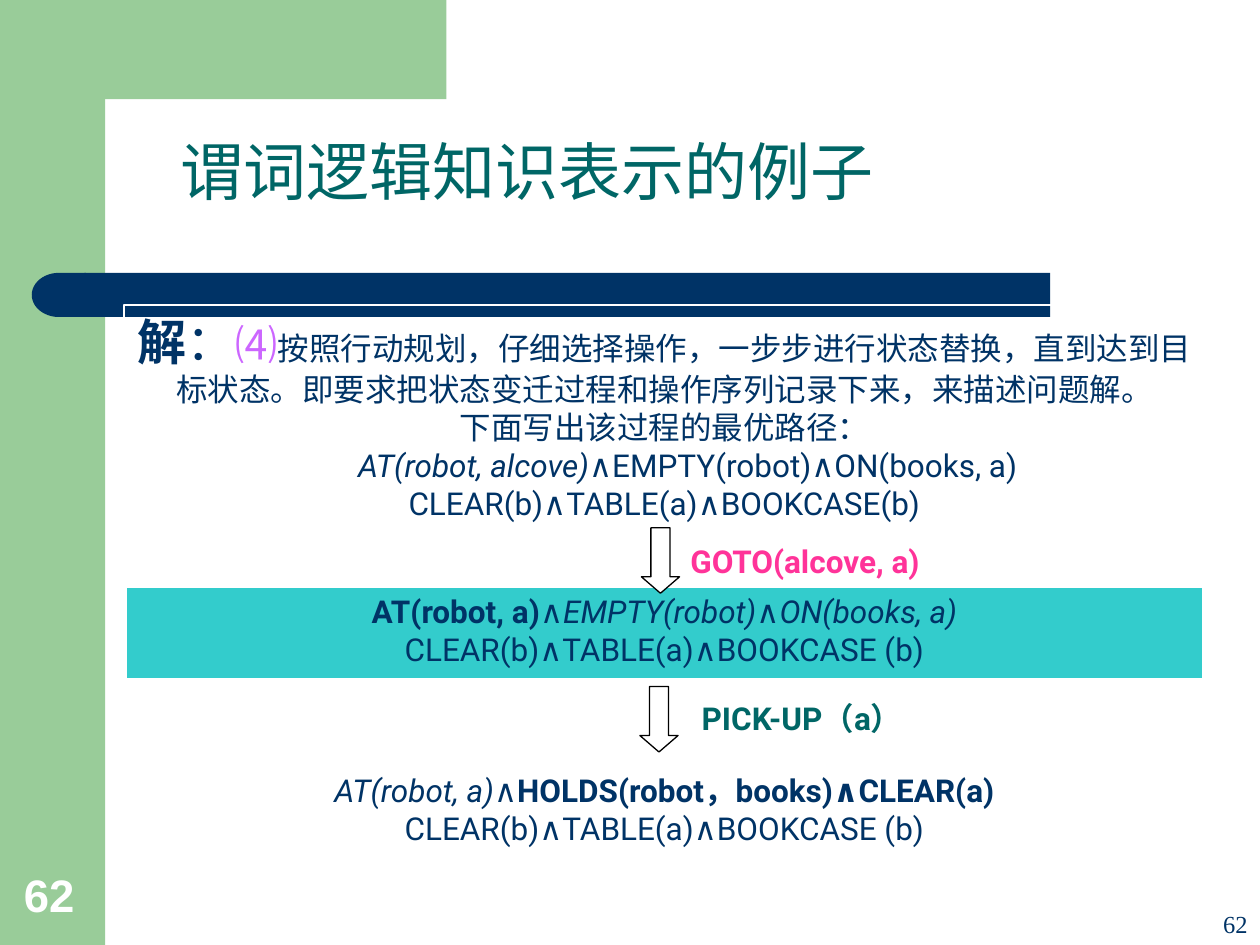
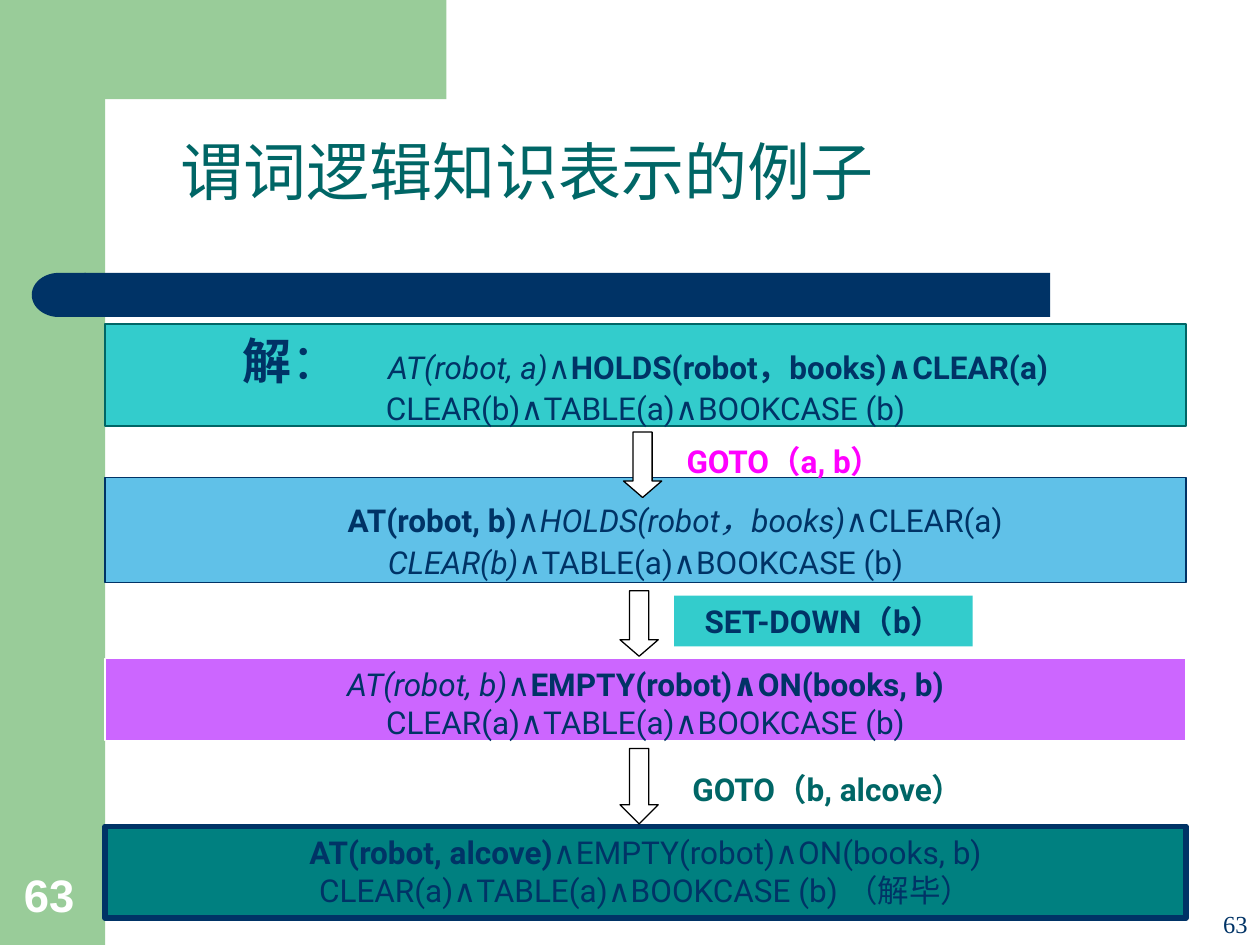
from math import cos, pi, sin

from pptx import Presentation
from pptx.dml.color import RGBColor
from pptx.enum.lang import MSO_LANGUAGE_ID
from pptx.enum.shapes import MSO_SHAPE
from pptx.enum.text import MSO_ANCHOR, MSO_AUTO_SIZE, PP_ALIGN
from pptx.util import Cm, Pt

NAVY = RGBColor(0x00, 0x33, 0x66)
GREEN = RGBColor(0x99, 0xCC, 0x99)
PINE = RGBColor(0x00, 0x66, 0x66)
TEAL = RGBColor(0x00, 0x80, 0x80)
TURQUOISE = RGBColor(0x33, 0xCC, 0xCC)
SKY = RGBColor(0x60, 0xC1, 0xE8)
VIOLET = RGBColor(0xCC, 0x66, 0xFF)
PINK = RGBColor(0xFF, 0x33, 0x99)
MAGENTA = RGBColor(0xFF, 0x00, 0xFF)
WHITE = RGBColor(0xFF, 0xFF, 0xFF)
BLACK = RGBColor(0x00, 0x00, 0x00)

BOLD = {"bold": True}
ITALIC = {"italic": True}
HEADING = {"size": 28, "font": "Times New Roman"}
TITLE = "谓词逻辑知识表示的例子"
FIRST_NUMBER = 62
STATE_WIDTH = 21.79
INSET = 0.13


def write(paragraph, text, size=18, font="Roboto", color=NAVY,
          bold=False, italic=False, spacing=0):
    """Add one run; spacing is the extra room after each letter, in points."""
    run = paragraph.add_run()
    run.text = text
    run.font.size = Pt(size)
    run.font.name = font
    run.font.color.rgb = color
    run.font.bold = bold
    run.font.italic = italic
    run.font.language_id = MSO_LANGUAGE_ID.SIMPLIFIED_CHINESE
    if spacing:
        run.font._element.set("spc", str(spacing * 100))


def paint(shape, fill=None, line=None, weight=0.75):
    shape.shadow.inherit = False
    if fill is None:
        shape.fill.background()
    else:
        shape.fill.solid()
        shape.fill.fore_color.rgb = fill
    if line is None:
        shape.line.fill.background()
    else:
        shape.line.color.rgb = line
        shape.line.width = Pt(weight)


# Each state: top, height, fill, line, line weight, extra room on top,
# and paragraphs of (left indent, runs).
# Each arrow: left, top, height, head length as a share of the width.
# Each operator: left, top, width, text, colour, fill.
slides = [
    {
        "left": 2.5,
        "states": [
            (6.15, 4.39, None, WHITE, 0.75, 0, [
                (0, [("解", HEADING | BOLD), ("：", HEADING),
                     ("⑷", {"size": 24, "color": VIOLET}),
                     ("按照行动规划，仔细选择操作，一步步进行状态替换，直到达到目标状态。"
                      "即要求把状态变迁过程和操作序列记录下来，来描述问题解。", {})]),
                (0, [("下面写出该过程的最优路径：", {})]),
                (0.94, [("AT(robot, alcove)", ITALIC),
                        ("∧EMPTY(robot)∧ON(books, a)", {})]),
                (0, [("CLEAR(b)∧TABLE(a)∧BOOKCASE(b)", {})]),
            ]),
            (11.81, 1.91, TURQUOISE, WHITE, 3, 0, [
                (0, [("AT(robot, a)", BOLD), ("∧", {}),
                     ("EMPTY(robot)", ITALIC), ("∧", {}),
                     ("ON(books, a)", ITALIC)]),
                (0, [("CLEAR(b)∧TABLE(a)∧BOOKCASE (b)", {})]),
            ]),
            (15.42, 2.11, None, WHITE, 0.75, 0, [
                (0, [("AT(robot, a)", ITALIC), ("∧", {}),
                     ("HOLDS(robot，books)∧CLEAR(a)", BOLD)]),
                (0, [("CLEAR(b)∧TABLE(a)∧BOOKCASE (b)", {})]),
            ]),
        ],
        "arrows": [(12.93, 10.64, 1.32, 0.43), (12.9, 13.84, 1.32, 0.43)],
        "operators": [
            (13.46, 10.8, 5.54, "GOTO(alcove, a)", PINK, None),
            (13.59, 13.97, 5.16, "PICK-UP（a）", PINE, None),
        ],
    },
    {
        "left": 2.12,
        "states": [
            (6.53, 2.06, TURQUOISE, PINE, 0.75, 0, [
                (0, [("解", HEADING | BOLD), ("：", HEADING | {"spacing": 27}),
                     ("AT(robot, a)", ITALIC), ("∧", {}),
                     ("HOLDS(robot，books)∧CLEAR(a)", BOLD)]),
                (0, [("CLEAR(b)∧TABLE(a)∧BOOKCASE (b)", {})]),
            ]),
            (9.63, 2.11, SKY, NAVY, 0.75, 0.35, [
                (1.19, [("AT(robot, b)", BOLD), ("∧", {}),
                        ("HOLDS(robot，books)", ITALIC), ("∧CLEAR(a)", {})]),
                (0, [("CLEAR(b)", ITALIC), ("∧TABLE(a)∧BOOKCASE (b)", {})]),
            ]),
            (13.28, 1.65, VIOLET, WHITE, 0.75, 0, [
                (0, [("AT(robot, b)", ITALIC), ("∧", {}),
                     ("EMPTY(robot)∧ON(books, b)", BOLD)]),
                (0, [("CLEAR(a)∧TABLE(a)∧BOOKCASE (b)", {})]),
            ]),
            (16.66, 1.85, TEAL, NAVY, 3, 0, [
                (0, [("AT(robot, alcove)", BOLD),
                     ("∧EMPTY(robot)∧ON(books, b)", {})]),
                (0, [("CLEAR(a)∧TABLE(a)∧BOOKCASE (b) （解毕）", {})]),
            ]),
        ],
        "arrows": [(12.57, 8.71, 1.32, 0.43), (12.5, 11.91, 1.32, 0.43),
                   (12.5, 15.09, 1.52, 0.5)],
        "operators": [
            (13.21, 8.79, 5.21, "GOTO（a, b）", MAGENTA, None),
            (13.59, 12.01, 6.02, "SET-DOWN（b）", NAVY, TURQUOISE),
            (13.26, 15.39, 6.86, "GOTO（b, alcove）", PINE, None),
        ],
    },
]

# Page numbers: left, top, width, height, alignment, format
page_numbers = [
    (24.13, 17.78, 1.27, 1.27, PP_ALIGN.RIGHT,
     {"size": 14, "font": "Times New Roman"}),
    (0.23, 17.35, 1.63, 1.35, PP_ALIGN.LEFT,
     {"size": 26, "font": "Arial", "color": WHITE, "bold": True}),
]

prs = Presentation()
prs.slide_width, prs.slide_height = Cm(25.4), Cm(19.05)
layout = prs.slide_layouts[5]

layout_title = layout.placeholders[0]
layout_title.left, layout_title.top = Cm(3.38), Cm(2.54)
layout_title.width, layout_title.height = Cm(18.62), Cm(1.78)

for number, content in enumerate(slides, FIRST_NUMBER):
    slide = prs.slides.add_slide(layout)
    shapes = slide.shapes

    # The decoration is drawn once and handed to the shared layout.
    if number == FIRST_NUMBER:
        side_band = shapes.add_shape(
            MSO_SHAPE.RECTANGLE, 0, 0, Cm(2.12), Cm(19.05))
        angles = [pi / 2 * step / 12 for step in range(13)]
        corner = [(2.91 - 0.79 * sin(a), 2.97 - 0.85 * cos(a)) for a in angles]
        outline = shapes.build_freeform(8.89, 0, scale=Cm(1))
        outline.add_line_segments(
            [(8.89, 2.12), *corner, (2.12, 3.25), (1.27, 3.25), (1.27, 0)])
        top_band = outline.convert_to_shape()
        title_bar = shapes.add_shape(
            MSO_SHAPE.RECTANGLE, Cm(1.7), Cm(5.5), Cm(19.47), Cm(0.89))
        bar_end = shapes.add_shape(
            MSO_SHAPE.FLOWCHART_DELAY, Cm(0.64), Cm(5.5), Cm(1.09), Cm(0.89))
        bar_end.rotation = 180
        for part, color in ((side_band, GREEN), (top_band, GREEN),
                            (title_bar, NAVY), (bar_end, NAVY)):
            paint(part, color)
            layout.shapes.element.append(part.element)

    title = shapes.title.text_frame
    title.vertical_anchor = MSO_ANCHOR.TOP
    title.auto_size = MSO_AUTO_SIZE.NONE
    title.paragraphs[0].alignment = PP_ALIGN.LEFT
    write(title.paragraphs[0], TITLE, size=36, font="Arial", color=PINE)

    for top, height, fill, line, weight, lead, paragraphs in content["states"]:
        state = shapes.add_shape(
            MSO_SHAPE.RECTANGLE, Cm(content["left"]), Cm(top),
            Cm(STATE_WIDTH), Cm(height))
        paint(state, fill, line, weight)
        frame = state.text_frame
        frame.word_wrap = True
        frame.vertical_anchor = MSO_ANCHOR.TOP
        frame.margin_top = Cm(INSET + lead)
        for index, (indent, runs) in enumerate(paragraphs):
            paragraph = frame.add_paragraph() if index else frame.paragraphs[0]
            paragraph.alignment = PP_ALIGN.CENTER
            if indent:
                paragraph._p.get_or_add_pPr().set("marL", str(Cm(indent)))
            if lead and index == 0:
                paragraph.space_after = Pt(2)
            for text, style in runs:
                write(paragraph, text, **style)

    for left, top, height, head in content["arrows"]:
        arrow = shapes.add_shape(
            MSO_SHAPE.DOWN_ARROW, Cm(left), Cm(top), Cm(0.77), Cm(height))
        arrow.adjustments[1] = head
        paint(arrow, WHITE, BLACK)

    for left, top, width, text, color, fill in content["operators"]:
        operator = shapes.add_textbox(Cm(left), Cm(top), Cm(width), Cm(1.02))
        if fill is not None:
            operator.fill.solid()
            operator.fill.fore_color.rgb = fill
        operator.text_frame.word_wrap = False
        paragraph = operator.text_frame.paragraphs[0]
        paragraph.alignment = PP_ALIGN.CENTER
        write(paragraph, text, color=color, bold=True)

    for left, top, width, height, alignment, style in page_numbers:
        page = shapes.add_textbox(Cm(left), Cm(top), Cm(width), Cm(height))
        page.text_frame.word_wrap = True
        page.text_frame.vertical_anchor = MSO_ANCHOR.BOTTOM
        paragraph = page.text_frame.paragraphs[0]
        paragraph.alignment = alignment
        write(paragraph, str(number), **style)

prs.save("out.pptx")
